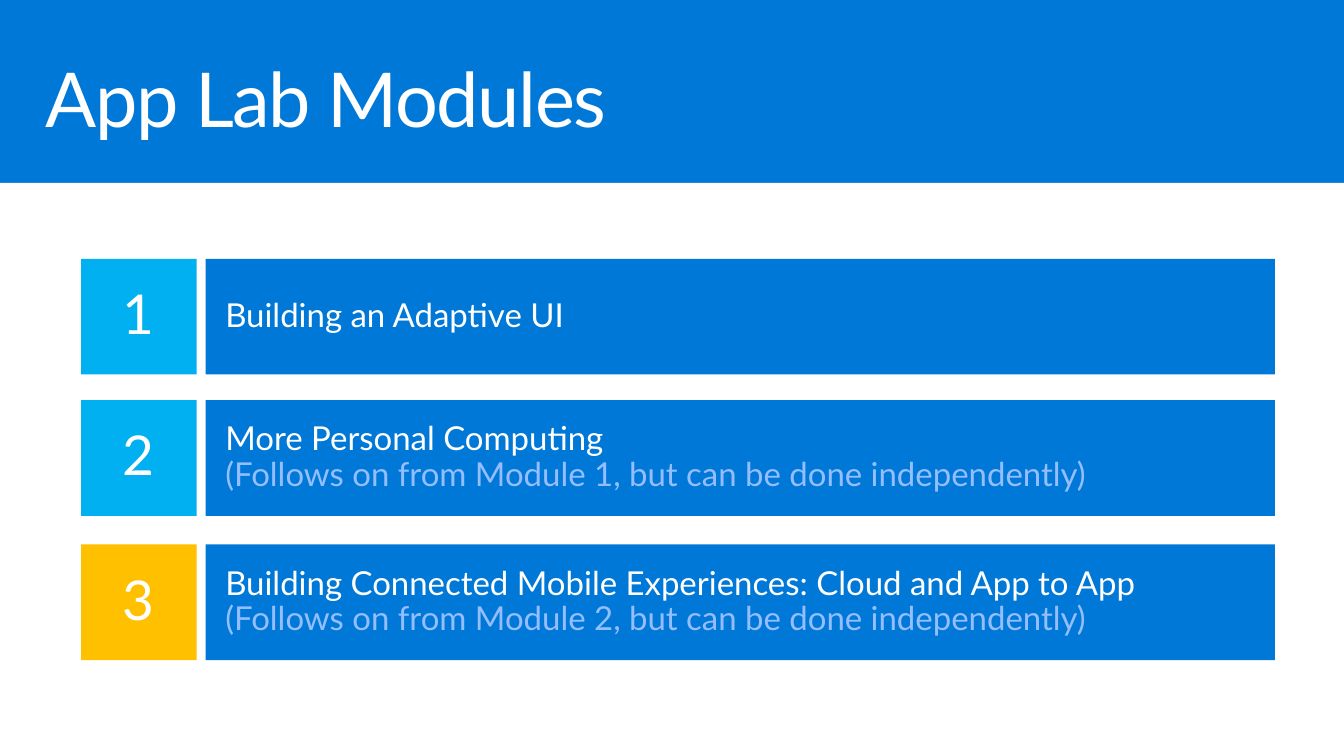
from pptx import Presentation
from pptx.dml.color import RGBColor
from pptx.enum.shapes import MSO_SHAPE as Shape
from pptx.enum.text import MSO_ANCHOR as Anchor, MSO_AUTO_SIZE as AutoSize, PP_ALIGN as Align
from pptx.util import Inches, Pt

BLUE, CYAN, AMBER = "0078D7", "00B0F0", "FFC000"
WHITE, PALE_BLUE = "FFFFFF", "94BEFF"


def color(hex_code):
    return RGBColor.from_string(hex_code)


class ModuleSlide:
    font_name = "Lato"
    line_spacing = 0.9

    def __init__(self, deck):
        self.slide = deck.slides.add_slide(deck.slide_layouts[5])

    def background(self, fill):
        backdrop = self.slide.background.fill
        backdrop.solid()
        backdrop.fore_color.rgb = color(fill)

    def frame(self, frame, inset_x, inset_y, anchor):
        frame.word_wrap = True
        frame.auto_size = AutoSize.NONE
        frame.vertical_anchor = anchor
        frame.margin_left = frame.margin_right = Inches(inset_x)
        frame.margin_top = frame.margin_bottom = Inches(inset_y)

    def style(self, paragraph, size, text_color, align):
        paragraph.alignment = align
        paragraph.line_spacing = self.line_spacing
        paragraph.font.name = self.font_name
        paragraph.font.size = Pt(size)
        paragraph.font.color.rgb = color(text_color)

    def title(self, text, left, top, width, height):
        title = self.slide.shapes.title
        title.left, title.top = Inches(left), Inches(top)
        title.width, title.height = Inches(width), Inches(height)
        self.frame(title.text_frame, 0.16, 0.1, Anchor.TOP)
        heading = title.text_frame.paragraphs[0]
        run = heading.add_run()
        run.text = text
        self.style(heading, 55.1, WHITE, Align.LEFT)
        # Tighten the letters by one point
        run.font._element.set("spc", "-100")

    def box(self, left, top, width, height, fill, lines=(), size=24, align=Align.LEFT):
        box = self.slide.shapes.add_shape(
            Shape.RECTANGLE, Inches(left), Inches(top), Inches(width), Inches(height))
        box.shadow.inherit = False
        box.fill.solid()
        box.fill.fore_color.rgb = color(fill)
        box.line.fill.background()
        frame = box.text_frame
        self.frame(frame, 0.2, 0.16, Anchor.MIDDLE)
        for index, (text, text_color) in enumerate(lines):
            paragraph = frame.add_paragraph() if index else frame.paragraphs[0]
            paragraph.text = text
            self.style(paragraph, size, text_color, align)


def main():
    deck = Presentation()
    deck.slide_width, deck.slide_height = Inches(13.6), Inches(7.65)
    page = ModuleSlide(deck)

    # Header and white panel
    page.background(BLUE)
    page.title("App Lab Modules", 0.3, 0.53, 13, 1)
    page.box(0, 1.85, 13.6, 5.8, WHITE)

    # Module rows: top, number colour, name, dependency
    modules = [
        (2.62, CYAN, "Building an Adaptive UI", None),
        (4.05, CYAN, "More Personal Computing",
         "(Follows on from Module 1, but can be done independently)"),
        (5.51, AMBER, "Building Connected Mobile Experiences: Cloud and App to App",
         "(Follows on from Module 2, but can be done independently)"),
    ]
    row_height = 1.17
    for number, (top, number_fill, name, dependency) in enumerate(modules, start=1):
        lines = [(name, WHITE)]
        if dependency:
            lines.append((dependency, PALE_BLUE))
        page.box(2.08, top, 10.82, row_height, BLUE, lines)
        page.box(0.82, top, row_height, row_height, number_fill,
                 [(str(number), WHITE)], size=40, align=Align.CENTER)

    deck.save("out.pptx")


if __name__ == "__main__":
    main()
